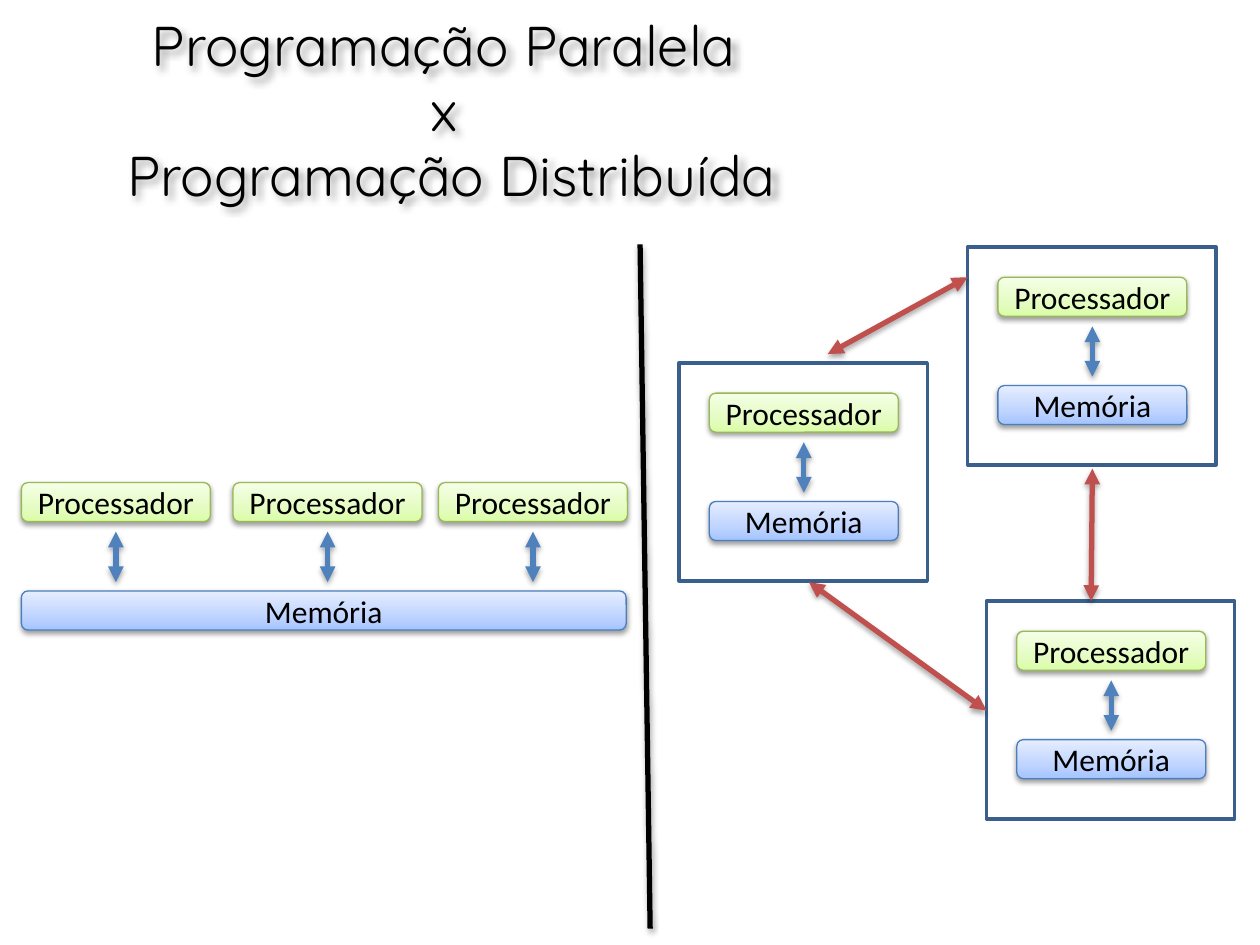
from lxml import etree
from pptx import Presentation
from pptx.dml.color import RGBColor
from pptx.enum.shapes import MSO_CONNECTOR, MSO_SHAPE
from pptx.enum.text import MSO_ANCHOR, PP_ALIGN
from pptx.oxml.ns import qn
from pptx.util import Inches, Pt

ROUND = MSO_SHAPE.ROUNDED_RECTANGLE
RECT = MSO_SHAPE.RECTANGLE
STRAIGHT = MSO_CONNECTOR.STRAIGHT
CENTER = PP_ALIGN.CENTER
MIDDLE = MSO_ANCHOR.MIDDLE

BLACK = RGBColor(0x00, 0x00, 0x00)
BLUE = RGBColor(0x4F, 0x81, 0xBD)
RED = RGBColor(0xC0, 0x50, 0x4D)
NODE_LINE = RGBColor(0x3A, 0x5F, 0x8C)
GREEN_LINE = RGBColor(0x98, 0xB9, 0x55)
MEMORY_LINE = RGBColor(0x4B, 0x7E, 0xBC)
GREEN_STOPS = (
    (0, RGBColor(0xDA, 0xFD, 0xA7)),
    (35, RGBColor(0xE4, 0xFC, 0xC2)),
    (100, RGBColor(0xF5, 0xFF, 0xE7)),
)
BLUE_STOPS = (
    (0, RGBColor(0xA4, 0xC4, 0xFF)),
    (35, RGBColor(0xBF, 0xD4, 0xFF)),
    (100, RGBColor(0xE6, 0xEE, 0xFF)),
)

BOX_W, BOX_H = 1.5, 0.31
MEMORY_DROP = 0.86
NODE_W, NODE_H, NODE_PAD = 1.97, 1.73, 0.24


def add_xml(parent, tag, **attrs):
    child = etree.SubElement(parent, qn(tag))
    for name, value in attrs.items():
        child.set(name, str(value))
    return child


def add_shadow(s, alpha, blur, dist, angle=90):
    effects = add_xml(s._element.spPr, "a:effectLst")
    shadow = add_xml(effects, "a:outerShdw", blurRad=Pt(blur), dist=Pt(dist),
                     dir=angle * 60000, rotWithShape=0)
    color = add_xml(shadow, "a:srgbClr", val=BLACK)
    add_xml(color, "a:alpha", val=alpha * 1000)


def set_gradient(s, stops):
    s.fill.gradient()
    s.fill.gradient_angle = 90
    stop_list = s._element.spPr.find(qn("a:gradFill")).find(qn("a:gsLst"))
    for old in list(stop_list):
        stop_list.remove(old)
    for position, color in stops:
        stop = add_xml(stop_list, "a:gs", pos=position * 1000)
        add_xml(stop, "a:srgbClr", val=color)


def set_text(s, text, size, font):
    tf = s.text_frame
    tf.word_wrap = True
    tf.vertical_anchor = MIDDLE
    p = tf.paragraphs[0]
    p.text = text
    p.alignment = CENTER
    p.font.size = Pt(size)
    p.font.name = font
    p.font.color.rgb = BLACK
    return p


def add_title(slide, text):
    s = slide.shapes.add_textbox(Inches(0), Inches(0.47), Inches(7.17), Inches(0.84))
    p = set_text(s, text, 32, "Quicksand")
    p.line_spacing = 0.96
    add_shadow(s, 40, 4, 3, 45)


def add_box(slide, text, x, y, w, stops, line):
    s = slide.shapes.add_shape(ROUND, Inches(x), Inches(y), Inches(w), Inches(BOX_H))
    set_gradient(s, stops)
    s.line.color.rgb = line
    s.line.width = Pt(0.75)
    add_shadow(s, 38, 3.1, 1.6)
    set_text(s, text, 18, "Calibri")


def add_line(slide, start, end, color, arrows=True):
    s = slide.shapes.add_connector(STRAIGHT, *map(Inches, start + end))
    s.line.color.rgb = color
    s.line.width = Pt(3)
    if arrows:
        ln = s.line._get_or_add_ln()
        add_xml(ln, "a:headEnd", type="triangle")
        add_xml(ln, "a:tailEnd", type="triangle")
    add_shadow(s, 35, 3.1, 1.8)


def add_processor(slide, x, y):
    add_box(slide, "Processador", x, y, BOX_W, GREEN_STOPS, GREEN_LINE)
    center = x + BOX_W / 2
    add_line(slide, (center, y + 0.39), (center, y + 0.79), BLUE)


def add_memory(slide, x, y, w):
    add_box(slide, "Memória", x, y, w, BLUE_STOPS, MEMORY_LINE)


def add_node(slide, x, y):
    s = slide.shapes.add_shape(RECT, Inches(x), Inches(y), Inches(NODE_W), Inches(NODE_H))
    s.fill.background()
    s.line.color.rgb = NODE_LINE
    s.line.width = Pt(2)
    s.shadow.inherit = False
    left, top = x + NODE_PAD, y + NODE_PAD
    add_processor(slide, left, top)
    add_memory(slide, left, top + MEMORY_DROP, BOX_W)


def main():
    prs = Presentation()
    prs.slide_width = Inches(10)
    prs.slide_height = Inches(7.5)
    slide = prs.slides.add_slide(prs.slide_layouts[6])

    add_title(slide, "Programação Paralela \vx \vProgramação Distribuída")
    add_line(slide, (5.08, 1.94), (5.16, 7.37), BLACK, arrows=False)

    for x, y in ((7.68, 1.96), (5.39, 2.88), (7.83, 4.77)):
        add_node(slide, x, y)
    for start, end in (
        ((6.42, 4.62), (7.83, 5.64)),
        ((8.67, 3.72), (8.66, 4.77)),
        ((7.68, 2.2), (6.57, 2.81)),
    ):
        add_line(slide, start, end, RED)

    for x in (0.17, 1.85, 3.48):
        add_processor(slide, x, 3.83)
    add_memory(slide, 0.17, 3.83 + MEMORY_DROP, 4.8)

    prs.save("out.pptx")


if __name__ == "__main__":
    main()
